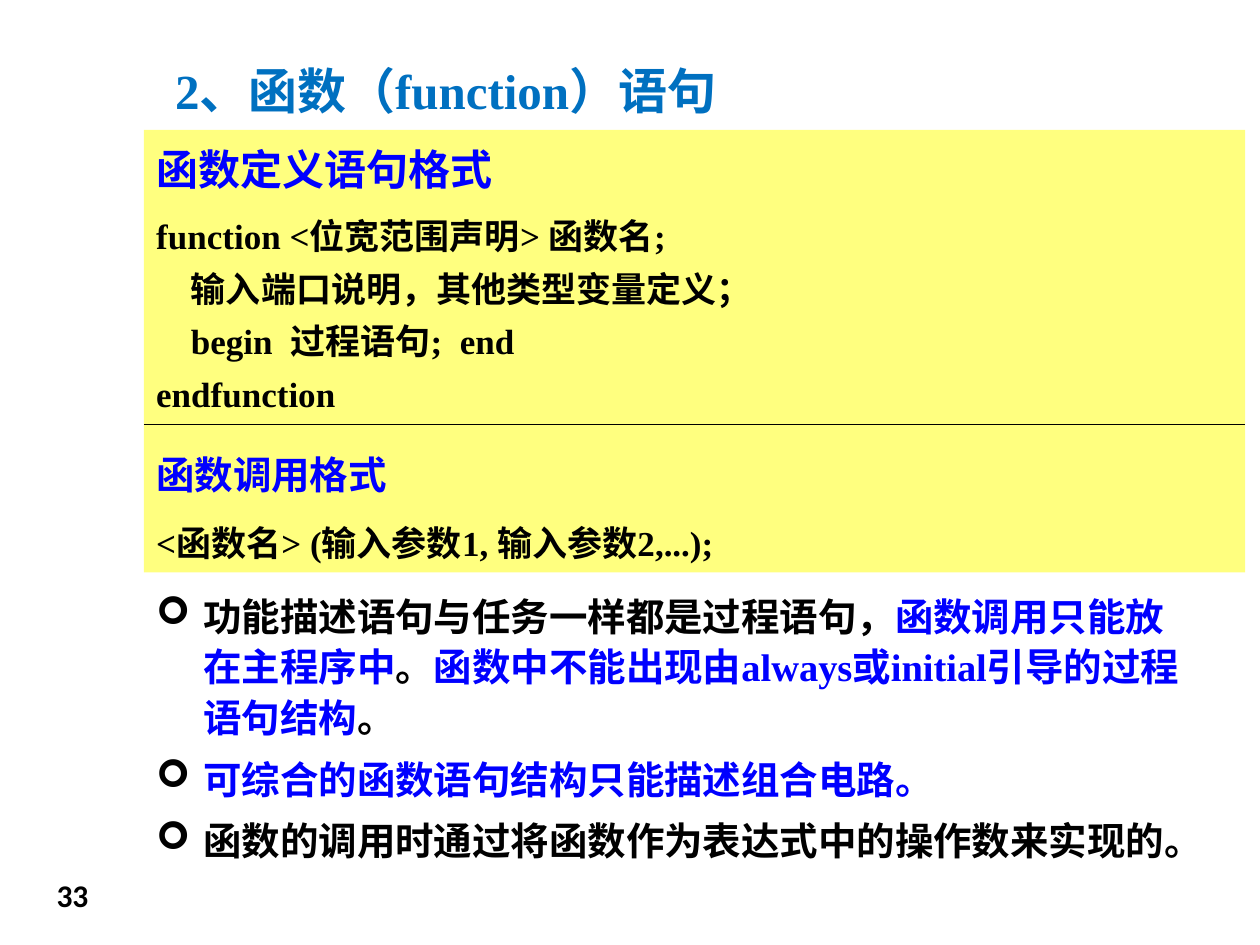
"""Build the slide on Verilog function statements."""
from lxml import etree
from pptx import Presentation
from pptx.dml.color import RGBColor
from pptx.enum.shapes import MSO_CONNECTOR, MSO_SHAPE
from pptx.enum.text import MSO_ANCHOR, PP_ALIGN
from pptx.oxml.ns import qn
from pptx.util import Cm, Pt

RECTANGLE = MSO_SHAPE.RECTANGLE
STRAIGHT = MSO_CONNECTOR.STRAIGHT
MIDDLE = MSO_ANCHOR.MIDDLE
LEFT = PP_ALIGN.LEFT
SERIF = "Times New Roman"
COLOURS = {"title": "0070C0", "key": "0000FF", "body": "000000", "panel": "FFFF00"}


def add_text(left, top, width, height):
    box = page.shapes.add_textbox(Cm(left), Cm(top), Cm(width), Cm(height))
    box.text_frame.word_wrap = True
    return box.text_frame


def add_span(para, text, size, colour, font=SERIF):
    span = para.add_run()
    span.text = text
    span.font.size = Pt(size)
    span.font.name = font
    span.font.bold = True
    span.font.color.rgb = RGBColor.from_string(COLOURS[colour])


deck = Presentation()
deck.slide_width, deck.slide_height = Cm(25.4), Cm(19.05)
page = deck.slides.add_slide(deck.slide_layouts[6])

title = add_text(3.28, 1.09, 21.23, 1.45)
title.vertical_anchor = MIDDLE
add_span(title.paragraphs[0], "2、函数（function）语句", 28, "title")

notes = [
    [("功能描述语句与任务一样都是过程语句，", "body"),
     ("函数调用只能放在主程序中", "key"),
     ("。", "body"),
     ("函数中不能出现由always或initial引导的过程语句结构", "key"),
     ("。", "body")],
    [("可综合的函数语句结构只能描述组合电路。", "key")],
    [("函数的调用时通过将函数作为表达式中的操作数来实现的。", "body")],
]
frame = add_text(2.9, 11.73, 21.44, 5.87)
for index, spans in enumerate(notes):
    para = frame.add_paragraph() if index else frame.paragraphs[0]
    para.line_spacing = 1.1
    para.space_after = Pt(6)
    properties = para._p.get_or_add_pPr()
    properties.set("marL", str(Cm(0.95)))
    properties.set("indent", str(-Cm(0.95)))
    bullet_colour = etree.SubElement(properties, qn("a:buClr"))
    etree.SubElement(bullet_colour, qn("a:srgbClr"), val=COLOURS["body"])
    etree.SubElement(properties, qn("a:buFont"), typeface="Wingdings")
    etree.SubElement(properties, qn("a:buChar"), char="➢")
    for text, colour in spans:
        add_span(para, text, 22, colour)

panel = page.shapes.add_shape(RECTANGLE, Cm(2.9), Cm(2.62), Cm(22.2), Cm(8.92))
panel.shadow.inherit = False
panel.line.fill.background()
panel.fill.solid()
panel.fill.fore_color.rgb = RGBColor.from_string(COLOURS["panel"])
panel_colour = panel._element.spPr.find(".//" + qn("a:srgbClr"))
etree.SubElement(panel_colour, qn("a:alpha"), val="50000")

syntax = [
    ("函数定义语句格式", 24, "key", 1.1, 0, 12, 0),
    ("function <位宽范围声明> 函数名;", 20, "body", 1, 0, 6, 0),
    ("输入端口说明，其他类型变量定义；", 20, "body", 1, 0, 6, 0.7),
    ("begin  过程语句;  end", 20, "body", 1, 0, 6, 0.7),
    ("endfunction", 20, "body", 1, 0, 6, 0),
    ("函数调用格式", 22, "key", 1.1, 12, 12, 0),
    ("<函数名> (输入参数1, 输入参数2,...);", 20, "body", 1.1, 0, 12, 0),
]
frame = panel.text_frame
frame.word_wrap = True
frame.vertical_anchor = MIDDLE
for index, (text, size, colour, spacing, before, after, indent) in enumerate(syntax):
    para = frame.add_paragraph() if index else frame.paragraphs[0]
    para.alignment = LEFT
    para.line_spacing = spacing
    para.space_before = Pt(before)
    para.space_after = Pt(after)
    para._p.get_or_add_pPr().set("marL", str(Cm(indent)))
    add_span(para, text, size, colour)

divider = page.shapes.add_connector(STRAIGHT, Cm(2.9), Cm(8.56), Cm(25.1), Cm(8.56))
divider.line.color.rgb = RGBColor.from_string(COLOURS["body"])
divider.line.width = Pt(0.75)
etree.SubElement(divider._element.spPr, qn("a:effectLst"))

number = add_text(0.89, 17.53, 1.6, 1.14)
add_span(number.paragraphs[0], "33", 18, "body", "Calibri")

deck.save("out.pptx")
